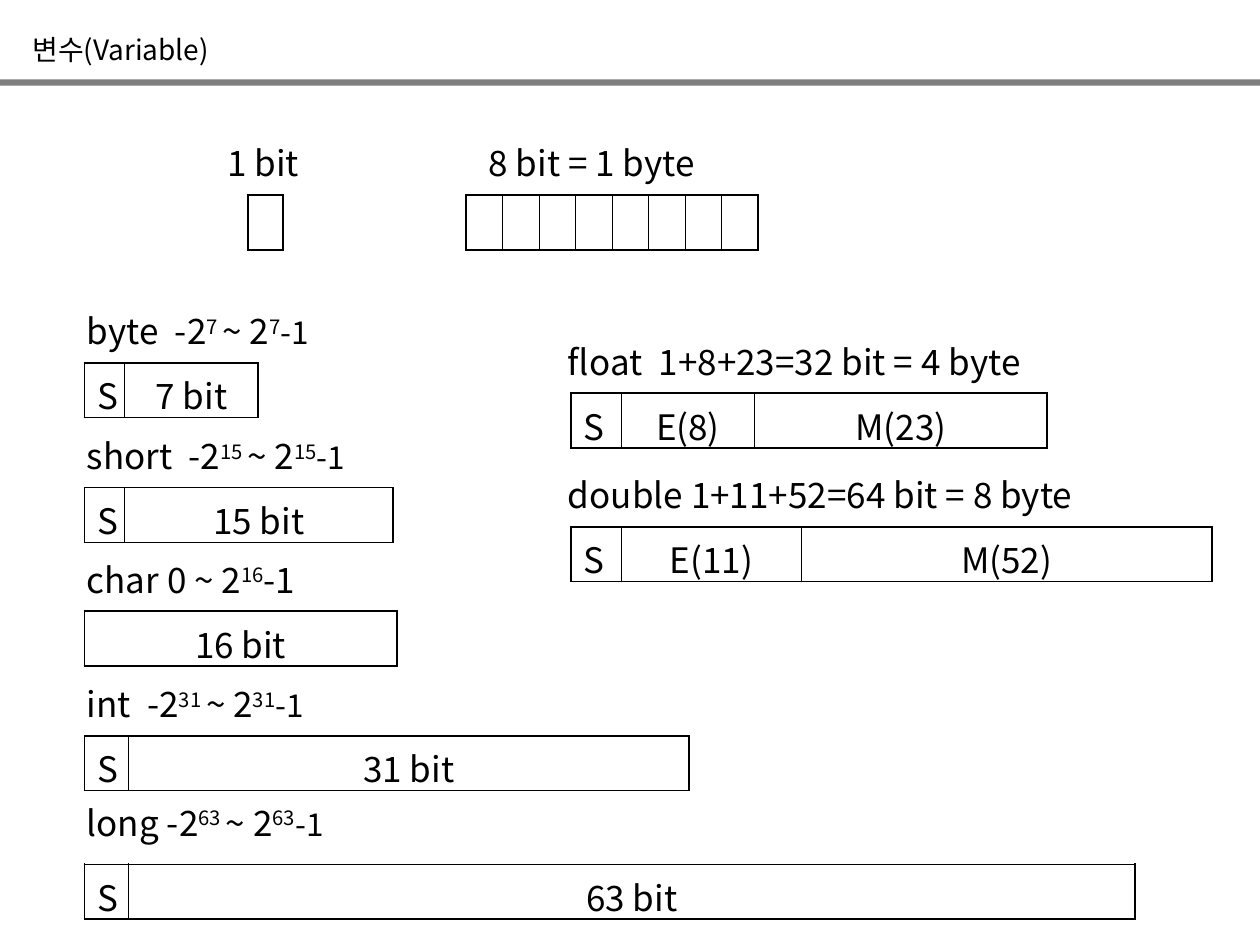
from lxml.etree import SubElement
from pptx import Presentation
from pptx.dml.color import RGBColor
from pptx.enum.shapes import MSO_SHAPE
from pptx.enum.text import MSO_AUTO_SIZE, PP_ALIGN
from pptx.oxml.ns import qn
from pptx.util import Inches, Pt

BLACK = RGBColor(0, 0, 0)
GRAY = RGBColor(0x7F, 0x7F, 0x7F)
FONT = "Noto Sans CJK KR"
OUTER, INNER = 1.08, 0.45
ROW_H = 0.435
LABEL_H = 0.44

TITLE = "변수(Variable)"
UNITS = [
    ("1 bit", 1.38, 1.42, PP_ALIGN.CENTER, 1.97, [0.275]),
    ("8 bit = 1 byte", 3.78, 2.24, PP_ALIGN.LEFT, 3.7, [0.29] * 8),
]
INTEGERS = [
    ("byte\t-2", "7", 0.7, 2.41, 2.88, [("S", 0.32), ("7 bit", 1.06)]),
    ("short\t-2", "15", 0.81, 3.4, 3.87, [("S", 0.32), ("15 bit", 2.13)]),
    ("char 0 ~ 2", "16", None, 4.38, 4.85, [("16 bit", 2.48)]),
    ("int\t-2", "31", 0.48, 5.37, 5.84, [("S", 0.35), ("31 bit", 4.45)]),
    ("long -2", "63", None, 6.31, 6.86, [("S", 0.35), ("63 bit", 7.99)]),
]
REALS = [
    ("float\t1+8+23=32 bit = 4 byte", 0.72, 2.65, 3.12,
     [("S", 0.4), ("E(8)", 1.06), ("M(23)", 2.32)]),
    ("double 1+11+52=64 bit = 8 byte", None, 3.71, 4.18,
     [("S", 0.4), ("E(11)", 1.43), ("M(52)", 3.26)]),
]


def style(p, size=20, align=PP_ALIGN.LEFT):
    p.alignment = align
    p.font.size = Pt(size)
    p.font.name = FONT
    p.font.color.rgb = BLACK
    SubElement(p.font._element, qn("a:ea"), typeface=FONT)


def add_label(slide, runs, x, y, w, h=LABEL_H, size=20, align=PP_ALIGN.LEFT, tab=None):
    tf = slide.shapes.add_textbox(Inches(x), Inches(y), Inches(w), Inches(h)).text_frame
    tf.word_wrap = True
    tf.auto_size = MSO_AUTO_SIZE.SHAPE_TO_FIT_TEXT
    p = tf.paragraphs[0]
    if tab:
        tabs = SubElement(p._p.get_or_add_pPr(), qn("a:tabLst"))
        SubElement(tabs, qn("a:tab"), pos=str(Inches(tab)), algn="l")
    style(p, size, align)
    for text, run_size, raised in runs:
        r = p.add_run()
        r.text = text
        if run_size != size:
            r.font.size = Pt(run_size)
        if raised:
            r.font._element.set("baseline", "30000")


def add_border(cell, side, width):
    ln = SubElement(cell._tc.get_or_add_tcPr(), qn(f"a:ln{side}"), w=str(Pt(width)))
    fill = SubElement(ln, qn("a:solidFill"))
    SubElement(fill, qn("a:srgbClr"), val=str(BLACK))


def add_bits(slide, x, y, fields):
    total = sum(w for _, w in fields)
    table = slide.shapes.add_table(
        1, len(fields), Inches(x), Inches(y), Inches(total), Inches(ROW_H)).table
    table.first_row = table.horz_banding = False
    last = len(fields) - 1
    for i, (text, w) in enumerate(fields):
        table.columns[i].width = Inches(w)
        cell = table.cell(0, i)
        add_border(cell, "L", OUTER if i == 0 else INNER)
        add_border(cell, "R", OUTER if i == last else INNER)
        add_border(cell, "T", OUTER)
        add_border(cell, "B", OUTER)
        cell.fill.background()
        p = cell.text_frame.paragraphs[0]
        style(p, align=PP_ALIGN.LEFT if text == "S" else PP_ALIGN.CENTER)
        if text:
            p.add_run().text = text


def range_runs(start, power):
    if start.endswith("~ 2"):
        return [(start, 20, False), (power, 20, True), ("-1", 20, False)]
    return [(start, 20, False), (power + " ", 20, True), ("~ 2", 20, False),
            (power, 20, True), ("-1", 18, False)]


def main():
    prs = Presentation()
    prs.slide_width, prs.slide_height = Inches(10), Inches(7.5)
    s = prs.slides.add_slide(prs.slide_layouts[6])

    rule = s.shapes.add_shape(
        MSO_SHAPE.RECTANGLE, 0, Inches(0.63), prs.slide_width, Inches(0.05))
    rule.shadow.inherit = False
    rule.fill.solid()
    rule.fill.fore_color.rgb = GRAY
    rule.line.fill.background()
    add_label(s, [(TITLE, 16, False)], 0.16, 0.21, 3.19, 0.37, 16)

    for text, x, w, align, bits_x, widths in UNITS:
        add_label(s, [(text, 20, False)], x, 1.07, w, align=align)
        add_bits(s, bits_x, 1.55, [("", width) for width in widths])
    for start, power, tab, label_y, bits_y, fields in INTEGERS:
        add_label(s, range_runs(start, power), 0.59, label_y, 2.84, tab=tab)
        add_bits(s, 0.67, bits_y, fields)
    for text, tab, label_y, bits_y, fields in REALS:
        add_label(s, [(text, 20, False)], 4.41, label_y, 4.76, tab=tab)
        add_bits(s, 4.53, bits_y, fields)

    prs.save("out.pptx")


if __name__ == "__main__":
    main()
